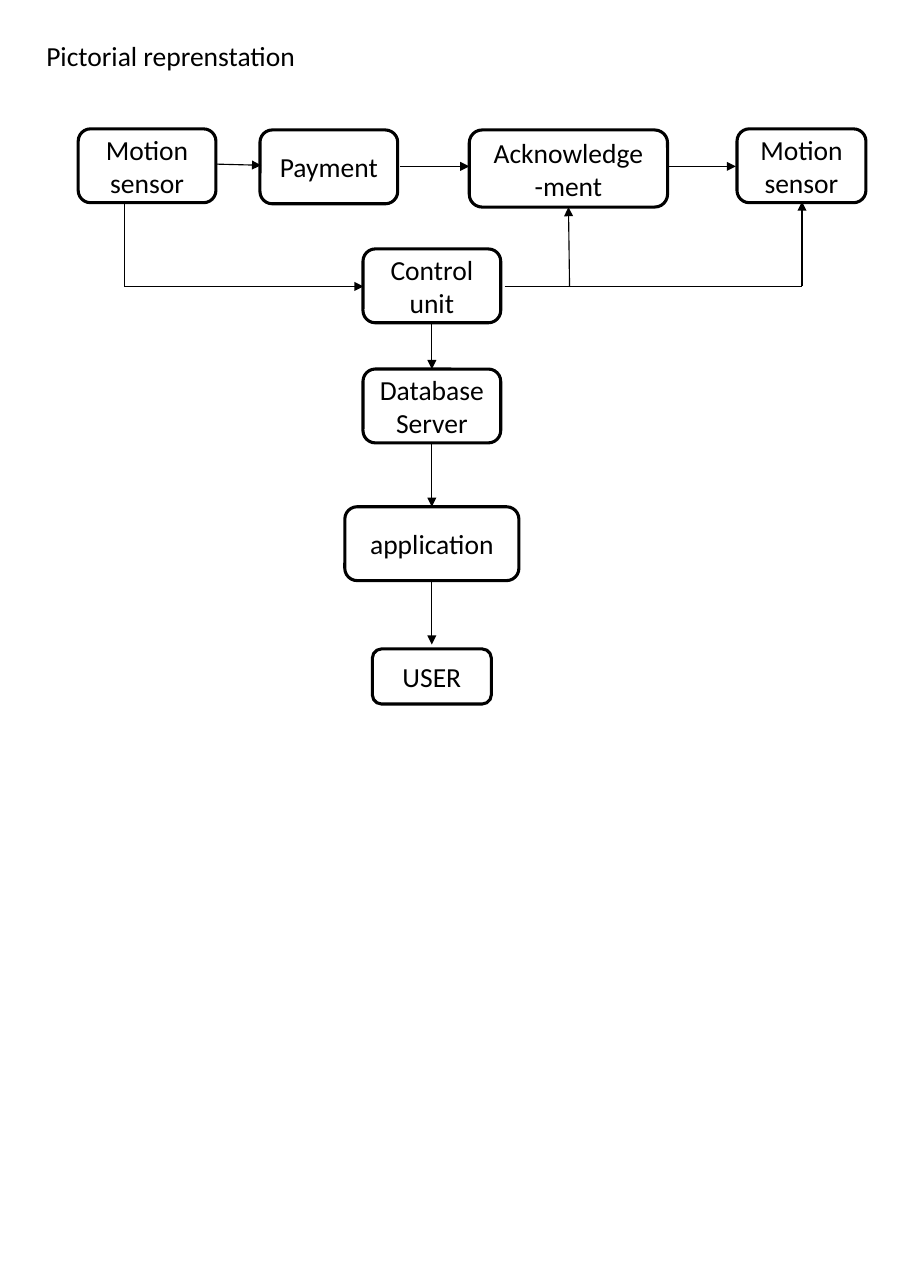
from dataclasses import dataclass

from lxml.etree import SubElement
from pptx import Presentation
from pptx.dml.color import RGBColor
from pptx.enum.shapes import MSO_CONNECTOR as Connector, MSO_SHAPE as Shape
from pptx.enum.text import MSO_ANCHOR as Anchor, MSO_AUTO_SIZE as AutoSize, PP_ALIGN as Align
from pptx.oxml.ns import qn
from pptx.util import Inches, Pt

BLACK = RGBColor(0, 0, 0)
WHITE = RGBColor(255, 255, 255)
TITLE_ONLY = 5
BOX_LINE = Pt(2)
ARROW_LINE = Pt(0.75)
FONT_FORMAT = {"name": "Calibri", "size": Pt(18), "bold": False}
BOX_FRAME = {"word_wrap": True, "vertical_anchor": Anchor.MIDDLE}
TITLE_FRAME = {
    "word_wrap": True, "vertical_anchor": Anchor.TOP, "auto_size": AutoSize.NONE,
    "margin_left": 0, "margin_top": 0, "margin_right": 0, "margin_bottom": 0,
}

CENTER = 3.92      # axis of the vertical chain
BRANCH = 2.6       # height of the lines beside the control unit
FLOW = 1.51        # height of the arrows in the top row
SENSOR_LINE = 1.13
RECEIVER_LINE = 7.28


@dataclass(frozen=True)
class Box:
    """A labelled step of the flow, in inches."""
    text: str
    left: float
    top: float
    width: float = 1.25
    height: float = 0.67


@dataclass(frozen=True)
class Link:
    """A straight line between two points, in inches."""
    start: tuple[float, float]
    end: tuple[float, float]
    arrow: bool = True


def chain_box(text: str, top: float, width: float = 1.25, height: float = 0.67) -> Box:
    """Return a box centred on the vertical chain."""
    return Box(text, CENTER - width / 2, top, width, height)


def chain_link(top: float, bottom: float) -> Link:
    """Return a downward arrow on the vertical chain."""
    return Link((CENTER, top), (CENTER, bottom))


BOXES = [
    Box("Motion sensor", 0.71, 1.17),
    Box("Payment", 2.36, 1.18),
    Box("Acknowledge -ment", 4.26, 1.18, 1.8, 0.7),
    Box("Motion\nsensor", 6.69, 1.17, 1.17),
    chain_box("Control\nunit", 2.26),
    chain_box("Database\nServer", 3.35),
    chain_box("application", 4.6, 1.58),
    chain_box("USER", 5.89, 1.08, 0.5),
]
LINKS = [
    Link((SENSOR_LINE, 1.85), (SENSOR_LINE, BRANCH), arrow=False),
    Link((SENSOR_LINE, BRANCH), (3.3, BRANCH)),
    Link((1.97, 1.49), (2.37, 1.5)),
    Link((3.63, FLOW), (4.26, FLOW)),
    Link((6.06, FLOW), (6.68, FLOW)),
    Link((4.58, BRANCH), (RECEIVER_LINE, BRANCH), arrow=False),
    Link((5.17, BRANCH), (5.16, 1.88)),
    Link((RECEIVER_LINE, BRANCH), (RECEIVER_LINE, 1.83)),
    chain_link(2.93, 3.35),
    chain_link(4.01, 4.6),
    chain_link(5.26, 5.85),
]


def apply_format(target, values: dict) -> None:
    """Set every named attribute on the target."""
    for name, value in values.items():
        setattr(target, name, value)


def write_text(shape, text: str, alignment: Align, frame_format: dict) -> None:
    """Write and format the text of a shape."""
    frame = shape.text_frame
    apply_format(frame, frame_format)
    frame.text = text
    for paragraph in frame.paragraphs:
        paragraph.alignment = alignment
        for run in paragraph.runs:
            apply_format(run.font, FONT_FORMAT)
            run.font.color.rgb = BLACK


def draw_box(slide, box: Box) -> None:
    """Draw one rounded box with its label."""
    shape = slide.shapes.add_shape(
        Shape.ROUNDED_RECTANGLE, Inches(box.left), Inches(box.top),
        Inches(box.width), Inches(box.height))
    shape.shadow.inherit = False
    shape.fill.solid()
    shape.fill.fore_color.rgb = WHITE
    shape.line.color.rgb = BLACK
    shape.line.width = BOX_LINE
    write_text(shape, box.text, Align.CENTER, BOX_FRAME)


def draw_link(slide, link: Link) -> None:
    """Draw one line, with an arrowhead at its end if wanted."""
    points = [Inches(value) for value in (*link.start, *link.end)]
    connector = slide.shapes.add_connector(Connector.STRAIGHT, *points)
    connector.line.color.rgb = BLACK
    connector.line.width = ARROW_LINE
    if link.arrow:
        SubElement(connector.line._get_or_add_ln(), qn("a:tailEnd"), type="triangle")
    SubElement(connector._element.spPr, qn("a:effectLst"))


def draw_title(slide, text: str) -> None:
    """Place and format the title."""
    title = slide.shapes.title
    apply_format(title, {"left": Inches(0.42), "top": Inches(0.35),
                         "width": Inches(7.44), "height": Inches(0.3)})
    write_text(title, text, Align.LEFT, TITLE_FRAME)


def main() -> None:
    """Build and save the flow diagram."""
    presentation = Presentation()
    presentation.slide_width = Inches(8.26)
    presentation.slide_height = Inches(11.69)
    slide = presentation.slides.add_slide(presentation.slide_layouts[TITLE_ONLY])
    draw_title(slide, "Pictorial reprenstation")
    for box in BOXES:
        draw_box(slide, box)
    for link in LINKS:
        draw_link(slide, link)
    presentation.save("out.pptx")


main()
